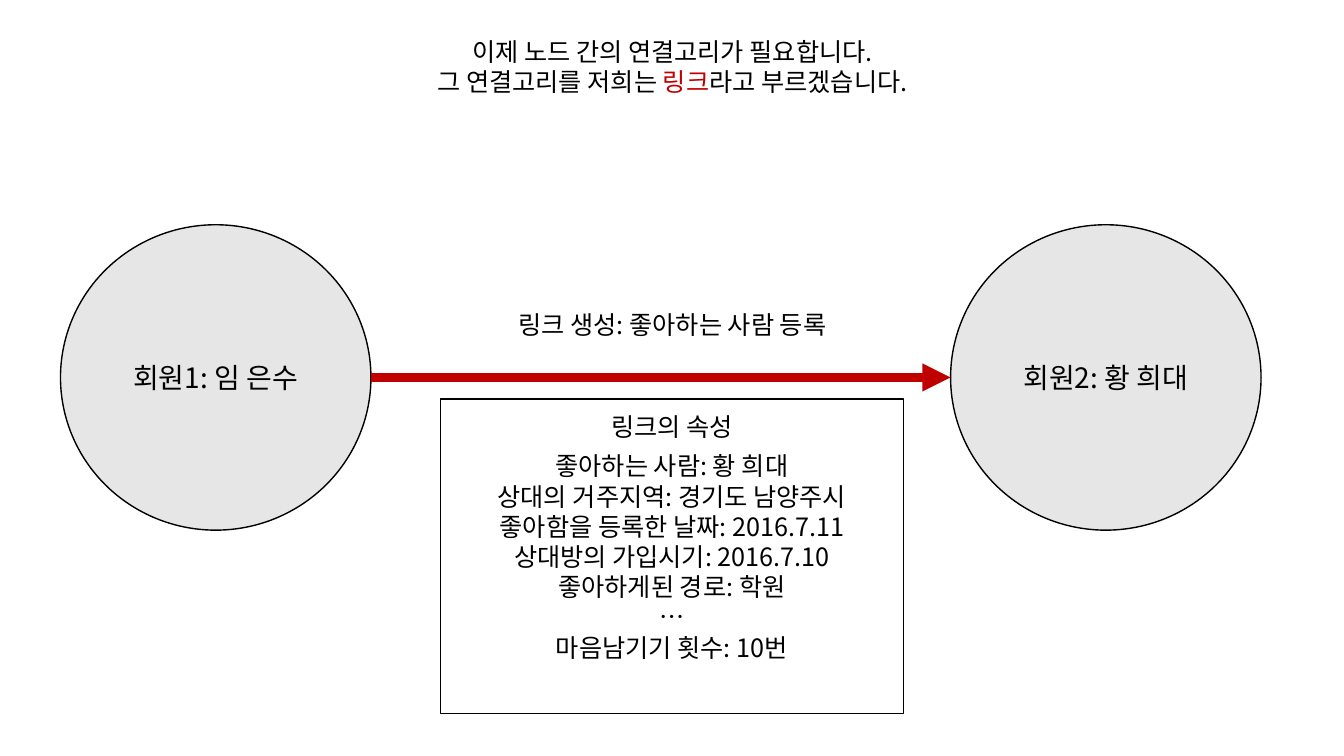
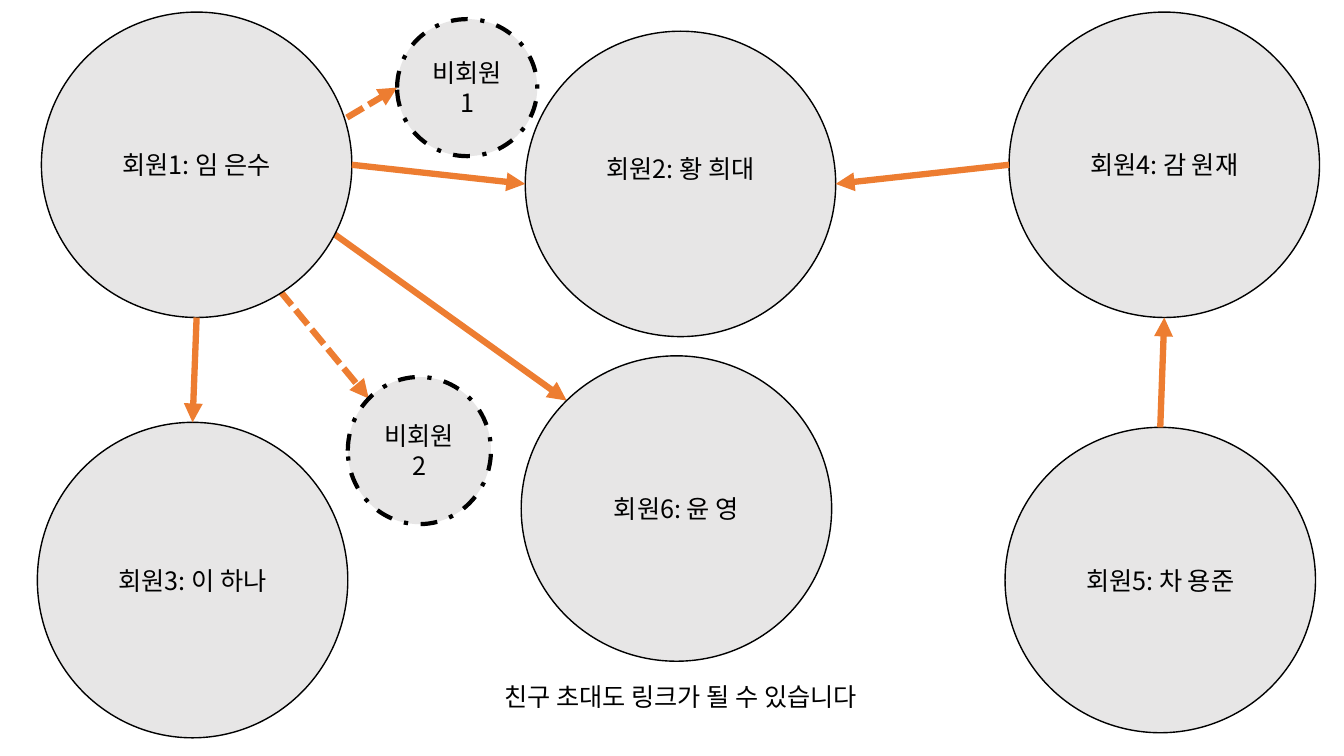
from dataclasses import dataclass
from math import cos, radians, sin

from lxml import etree
from pptx import Presentation
from pptx import util as u
from pptx.dml.color import RGBColor
from pptx.enum import dml, shapes, text
from pptx.oxml.ns import qn


@dataclass(frozen=True)
class Theme:
    font: str = "Noto Sans CJK KR"
    ink: str = "000000"
    paper: str = "FFFFFF"
    node: str = "E7E6E6"
    accent: str = "C00000"
    link: str = "ED7D31"
    body: int = 18
    large: int = 20
    thin: float = 1
    guest: float = 3
    arrow: float = 4.5
    bold_arrow: float = 6.75


T = Theme()
W, H = u.Inches(13.333), u.Inches(7.5)
NODE = (23.1, 40.4)          # usual circle, in percent of the slide
TITLE_ONLY, BLANK = 5, 6     # layout numbers

# Connection sites of an ellipse, counted anticlockwise from the top
TOP, TOP_LEFT, LEFT, BOTTOM_LEFT, BOTTOM, _, RIGHT, _ = range(8)


def box(x, y, w, h):
    """Turn percentages of the slide into lengths."""
    return [round(side * share / 100)
            for side, share in zip((W, H, W, H), (x, y, w, h))]


def rgb(value):
    return RGBColor.from_string(value)


# Text
def write(sp, paragraphs, size=T.body, anchor=text.MSO_ANCHOR.TOP):
    """Write centred paragraphs; a run is a string or (string, colour)."""
    tf = sp.text_frame
    tf.word_wrap = True
    tf.auto_size = text.MSO_AUTO_SIZE.NONE
    tf.vertical_anchor = anchor
    for i, runs in enumerate(paragraphs):
        p = tf.paragraphs[0] if i == 0 else tf.add_paragraph()
        p.alignment = text.PP_ALIGN.CENTER
        for run in [runs] if isinstance(runs, str) else runs:
            words, colour = (run, T.ink) if isinstance(run, str) else run
            r = p.add_run()
            r.text = words
            r.font.size = u.Pt(size)
            r.font.name = T.font
            r.font.color.rgb = rgb(colour)
            east_asian = etree.SubElement(r.font._element, qn("a:ea"))
            east_asian.set("typeface", T.font)


def title(s, area, paragraphs):
    sp = s.shapes.title
    sp.left, sp.top, sp.width, sp.height = box(*area)
    write(sp, paragraphs)


def label(s, area, words):
    write(s.shapes.add_textbox(*box(*area)), [words])


# Shapes
def panel(s, kind, area, paragraphs, fill, size=T.body, line=T.thin, dash=None):
    sp = s.shapes.add_shape(kind, *box(*area))
    sp.shadow.inherit = False
    sp.fill.solid()
    sp.fill.fore_color.rgb = rgb(fill)
    sp.line.color.rgb = rgb(T.ink)
    sp.line.width = u.Pt(line)
    if dash:
        sp.line.dash_style = dash
    write(sp, paragraphs, size, text.MSO_ANCHOR.MIDDLE)
    return sp


def member(s, x, y, name, size=T.body, extent=NODE):
    return panel(s, shapes.MSO_SHAPE.OVAL, (x, y, *extent), [name], T.node, size)


def guest(s, area, name):
    return panel(s, shapes.MSO_SHAPE.OVAL, area, [name], T.node,
                 line=T.guest, dash=dml.MSO_LINE.DASH_DOT)


# Links between circles
def site_point(sp, site):
    angle = radians(45 * site)
    return (round(sp.left + sp.width / 2 * (1 - sin(angle))),
            round(sp.top + sp.height / 2 * (1 - cos(angle))))


def link(s, start, start_site, end, end_site, colour=T.link, width=T.arrow,
         dash=None, behind=False):
    cx = s.shapes.add_connector(shapes.MSO_CONNECTOR.STRAIGHT,
                                *site_point(start, start_site),
                                *site_point(end, end_site))
    cx.line.color.rgb = rgb(colour)
    cx.line.width = u.Pt(width)
    if dash:
        cx.line.dash_style = dash
    etree.SubElement(cx.line._get_or_add_ln(), qn("a:tailEnd")).set("type", "triangle")
    etree.SubElement(cx._element.spPr, qn("a:effectLst"))
    # Glue both ends to their circles
    holder = cx._element.find(".//" + qn("p:cNvCxnSpPr"))
    for tag, sp, site in (("a:stCxn", start, start_site), ("a:endCxn", end, end_site)):
        glue = etree.SubElement(holder, qn(tag))
        glue.set("id", str(sp.shape_id))
        glue.set("idx", str(site))
    if behind:
        s.shapes._spTree.insert(2, cx._element)


# Slides
def link_slide(prs):
    s = prs.slides.add_slide(prs.slide_layouts[TITLE_ONLY])
    title(s, (7.28, 4.13, 85.5, 9.47), [
        "이제 노드 간의 연결고리가 필요합니다.",
        ["그 연결고리를 저희는 ", ("링크", T.accent), "라고 부르겠습니다."],
    ])
    panel(s, shapes.MSO_SHAPE.RECTANGLE, (32.78, 52.8, 34.43, 41.6), [
        "좋아하는 사람: 황 희대",
        "상대의 거주지역: 경기도 남양주시",
        "좋아함을 등록한 날짜: 2016.7.11",
        "상대방의 가입시기: 2016.7.10",
        "좋아하게된 경로: 학원",
        "…",
        "마음남기기 횟수: 10번",
    ], T.paper)
    liker = member(s, 4.5, 29.73, "회원1: 임 은수", T.large)
    liked = member(s, 70.73, 29.73, "회원2: 황 희대", T.large)
    link(s, liker, RIGHT, liked, LEFT, T.accent, T.bold_arrow)
    label(s, (38.1, 53.73, 23.78, 5.47), "링크의 속성")
    label(s, (7.28, 40.27, 85.5, 5.33), "링크 생성: 좋아하는 사람 등록")


def network_slide(prs):
    s = prs.slides.add_slide(prs.slide_layouts[BLANK])
    # Members and guests
    m5 = member(s, 74.78, 56.53, "회원5: 차 용준")
    m4 = member(s, 75.08, 1.6, "회원4: 감 원재")
    m1 = member(s, 3.08, 1.6, "회원1: 임 은수")
    m2 = member(s, 39.08, 4.13, "회원2: 황 희대")
    m2.text_frame.margin_bottom = u.Inches(0.35)
    m3 = member(s, 2.78, 55.87, "회원3: 이 하나", extent=(23.1, 41.73))
    m6 = member(s, 38.78, 47.07, "회원6: 윤 영")
    g1 = guest(s, (29.55, 2.53, 10.43, 18.13), "비회원1")
    g2 = guest(s, (25.88, 49.87, 10.65, 19.47), "비회원2")
    # Links from edge to edge
    for ends in ((m1, RIGHT, m2, LEFT), (m1, BOTTOM, m3, TOP),
                 (m4, LEFT, m2, RIGHT), (m5, TOP, m4, BOTTOM)):
        link(s, *ends)
    # Links that pass behind member 1; invitations are dashed
    invitation = dml.MSO_LINE.SQUARE_DOT
    for ends, dash in (((m1, TOP_LEFT, m6, TOP_LEFT), None),
                       ((m1, TOP_LEFT, g2, TOP_LEFT), invitation),
                       ((m1, BOTTOM_LEFT, g1, LEFT), invitation)):
        link(s, *ends, dash=dash, behind=True)
    label(s, (7.88, 89.47, 85.5, 5.33), "친구 초대도 링크가 될 수 있습니다")


def main():
    prs = Presentation()
    prs.slide_width, prs.slide_height = W, H
    link_slide(prs)
    network_slide(prs)
    prs.save("out.pptx")


main()
